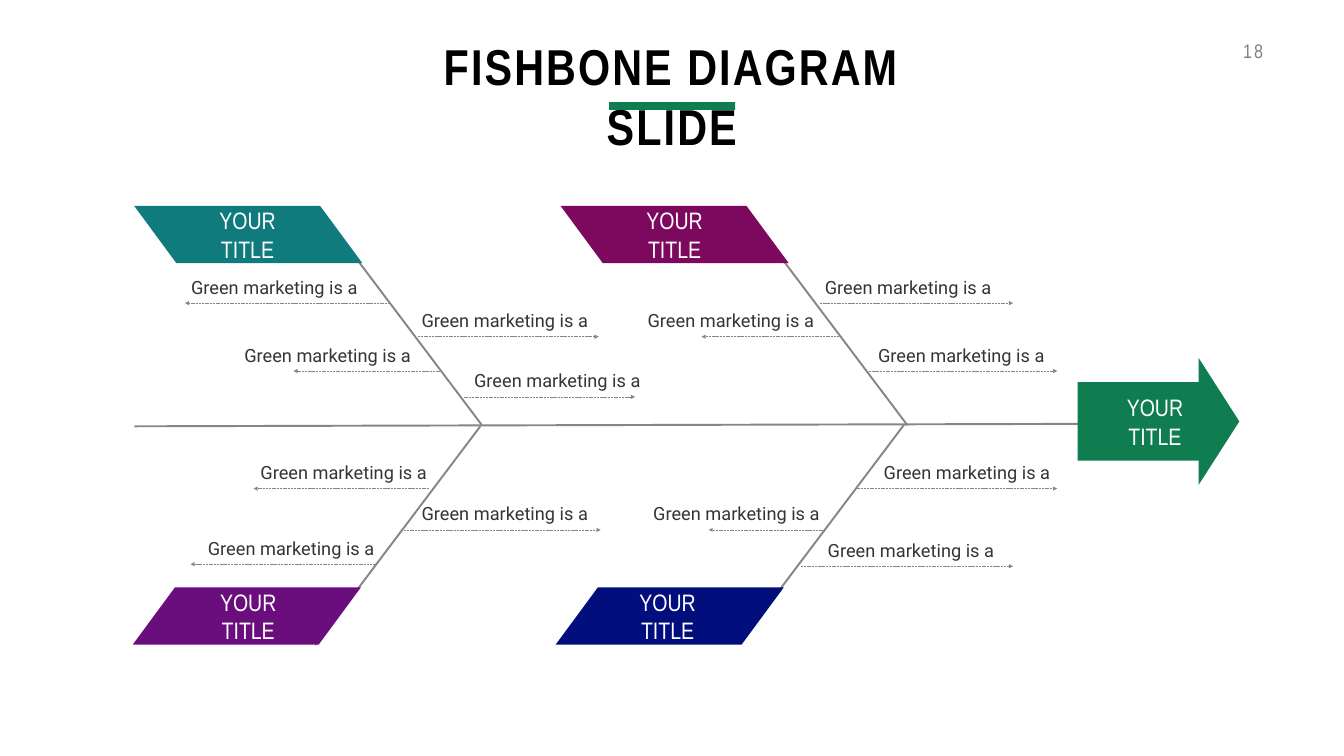
from lxml import etree
from pptx import Presentation
from pptx import util as u
from pptx.dml.color import RGBColor
from pptx.enum import dml, shapes, text
from pptx.oxml import ns

THEME = {
    "head": "Arial Narrow", "body": "Roboto",
    "black": "000000", "white": "FFFFFF", "ink": "353535",
    "gray": "808080", "bone": "868686", "green": "0F7D4F",
    "title": 72, "tag": 34, "page": 28, "note": 26,
    "thick": 2.75, "thin": 1,
}
TITLE, PAGE = "FISHBONE DIAGRAM SLIDE", "18"
TAG, NOTE = "YOUR TITLE", "Green marketing is a"

SPINE = (192, 609, 1559, 605.5)
RUN, RISE = 235.5, 312.5
# Where each rib meets the spine, and its direction: -1 up, 1 down
RIBS = [(686, 609, 1), (1291, 607, 1), (1296, 607.5, -1), (688, 607, -1)]
# Tag: left, top, fill, flipped, left of its text
TAGS = [
    (793.5, 839, "020E7C", False, 871),
    (189.5, 839, "690E7C", False, 272),
    (800.5, 294, "7D095E", True, 881),
    (191.5, 294, "107B7D", True, 271),
]
# Twig: start x on the rib, tip x, y, left of its note
TWIGS = [
    (597, 855, 481, 595), (557, 264, 433, 250), (629, 419, 530, 326),
    (1241, 1510, 530, 1247), (1171, 1447, 433, 1171), (1202, 1002, 481, 902),
    (613, 362, 698, 349), (539, 272, 806, 274), (573, 858, 757, 595),
    (1144, 1447, 809, 1175), (1222, 1510, 698, 1255), (1176, 1012, 757, 910),
    (662, 907, 567, 670),
]
TAG_W, TAG_H, SLANT = 326, 82, 0.737
TEXT_W, TEXT_H = 165, 48
NOTE_W, NOTE_H, LIFT = 268, 42, 46
HEAD = {"left": 1539, "neck": 1712, "tip": 1770, "mid": 602, "half": 90.5, "shaft": 56}

ALIGN = text.PP_ALIGN
ANCHOR = text.MSO_ANCHOR


def color(name):
    return RGBColor.from_string(THEME.get(name, name))


def paint(shape, fill):
    shape.shadow.inherit = False
    shape.fill.solid()
    shape.fill.fore_color.rgb = color(fill)
    shape.line.fill.background()


def write(slide, box, words, size, font, ink, align, anchor=ANCHOR.TOP):
    """Add a text box and return its paragraph and run for further styling."""
    frame = slide.shapes.add_textbox(*map(u.Pt, box)).text_frame
    frame.word_wrap = True
    frame.auto_size = text.MSO_AUTO_SIZE.SHAPE_TO_FIT_TEXT
    frame.vertical_anchor = anchor
    para = frame.paragraphs[0]
    para.text = words
    para.alignment = align
    run = para.runs[0]
    run.font.size = u.Pt(THEME[size])
    run.font.name = THEME[font]
    run.font.color.rgb = color(ink)
    return para, run


def track(run, points):
    """Set letter spacing."""
    run.font.size = run.font.size
    run.font._element.set("spc", str(points * 100))


def link(slide, x1, y1, x2, y2, width):
    line = slide.shapes.add_connector(
        shapes.MSO_CONNECTOR.STRAIGHT, *map(u.Pt, (x1, y1, x2, y2)))
    line.line.color.rgb = color("bone")
    line.line.width = u.Pt(THEME[width])
    etree.SubElement(line._element.spPr, ns.qn("a:effectLst"))
    return line


def add_twig(slide, start, tip, y):
    line = link(slide, start, y, tip, y, "thin").line
    line.dash_style = dml.MSO_LINE.SQUARE_DOT
    etree.SubElement(line._get_or_add_ln(), ns.qn("a:tailEnd"), type="triangle")


def add_note(slide, start, tip, y, left):
    align = ALIGN.RIGHT if tip < start else ALIGN.LEFT
    box = (left, y - LIFT, NOTE_W, NOTE_H)
    para, _ = write(slide, box, NOTE, "note", "body", "ink", align, ANCHOR.BOTTOM)
    para.line_spacing = u.Pt(37)
    para.space_before = u.Pt(5.2)


def add_tag(slide, left, top, fill, flip):
    shape = slide.shapes.add_shape(
        shapes.MSO_SHAPE.PARALLELOGRAM, *map(u.Pt, (left, top, TAG_W, TAG_H)))
    shape.adjustments[0] = SLANT
    paint(shape, fill)
    if flip:
        shape._element.spPr.xfrm.set("flipV", "1")


def add_label(slide, left, mid):
    box = (left, mid - TEXT_H / 2, TEXT_W, TEXT_H)
    write(slide, box, TAG, "tag", "head", "white", ALIGN.CENTER, ANCHOR.MIDDLE)


def add_head(slide):
    left, neck, tip, mid, half, shaft = HEAD.values()
    upper = [(left, mid - shaft), (neck, mid - shaft), (neck, mid - half)]
    lower = [(x, 2 * mid - y) for x, y in reversed(upper)]
    dots = [(u.Pt(x), u.Pt(y)) for x, y in upper + [(tip, mid)] + lower]
    build = slide.shapes.build_freeform(*dots[0])
    build.add_line_segments(dots[1:], close=True)
    paint(build.convert_to_shape(), "green")


def main():
    deck = Presentation()
    deck.slide_width, deck.slide_height = u.Pt(1919.5), u.Pt(1080)
    slide = deck.slides.add_slide(deck.slide_layouts[6])

    _, run = write(slide, (1750, 52, 61, 41), PAGE, "page", "head", "gray", ALIGN.RIGHT)
    track(run, 3)
    _, run = write(slide, (530, 46, 859, 94), TITLE, "title", "head", "black", ALIGN.CENTER)
    run.font.bold = True
    track(run, 3)
    bar = slide.shapes.add_shape(
        shapes.MSO_SHAPE.RECTANGLE, *map(u.Pt, (870, 146, 180, 11)))
    paint(bar, "green")

    for x, y, way in RIBS:
        link(slide, x, y, x - RUN, y + way * RISE, "thick")
    link(slide, *SPINE, "thick")
    for start, tip, y, _ in TWIGS:
        add_twig(slide, start, tip, y)

    add_head(slide)
    for left, top, fill, flip, _ in TAGS:
        add_tag(slide, left, top, fill, flip)
    for _, top, _, _, left in TAGS:
        add_label(slide, left, top + TAG_H / 2)
    for twig in TWIGS:
        add_note(slide, *twig)
    add_label(slide, 1567, HEAD["mid"])

    deck.save("out.pptx")


if __name__ == "__main__":
    main()
